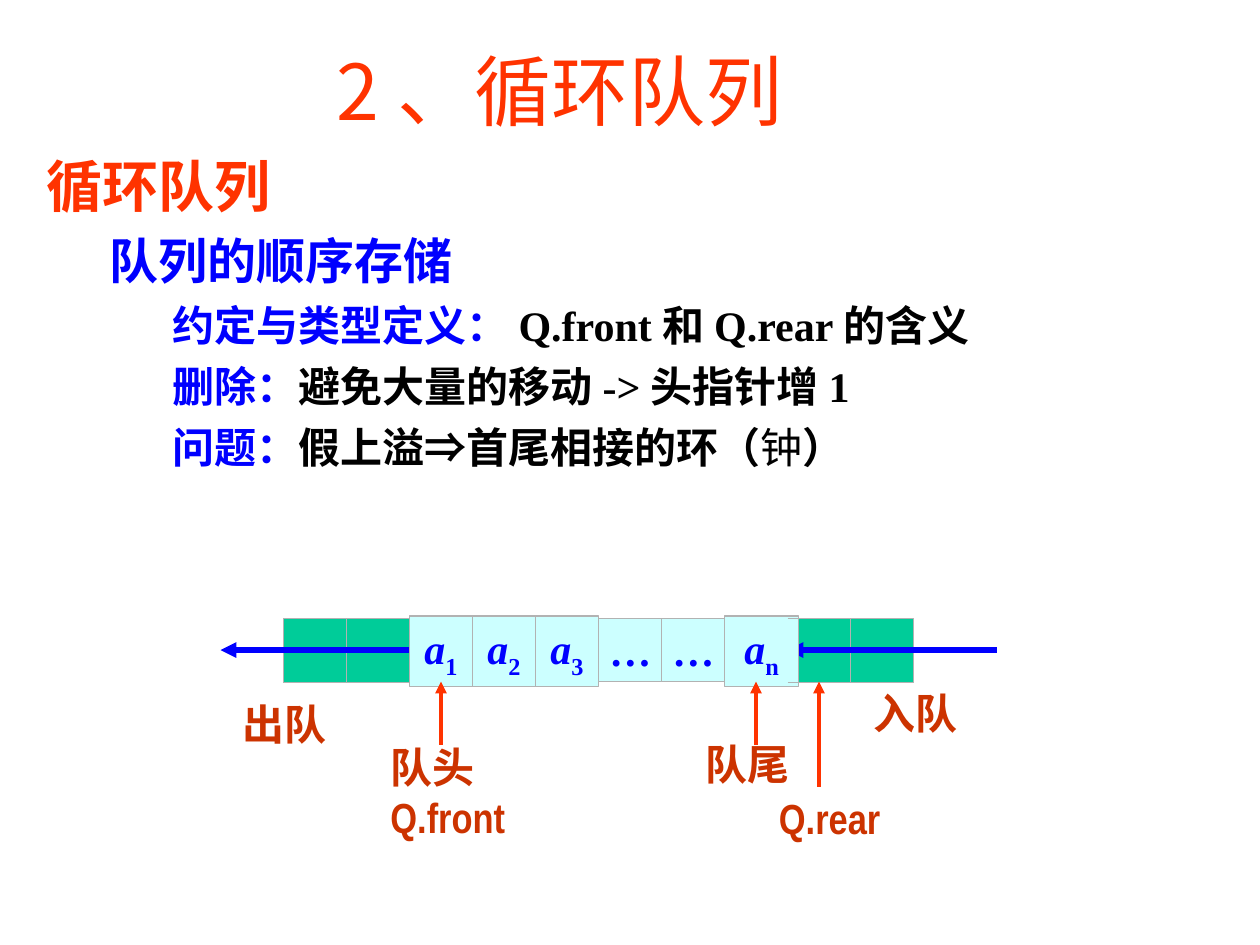
from dataclasses import dataclass

from pptx import Presentation
from pptx.dml.color import RGBColor
from pptx.enum.shapes import MSO_CONNECTOR, MSO_SHAPE
from pptx.enum.text import MSO_ANCHOR, MSO_AUTO_SIZE, PP_ALIGN
from pptx.oxml.ns import qn
from pptx.util import Pt

STRAIGHT = MSO_CONNECTOR.STRAIGHT
RECTANGLE = MSO_SHAPE.RECTANGLE
MIDDLE, TOP = MSO_ANCHOR.MIDDLE, MSO_ANCHOR.TOP
CENTER, LEFT = PP_ALIGN.CENTER, PP_ALIGN.LEFT
GROW, FIXED = MSO_AUTO_SIZE.SHAPE_TO_FIT_TEXT, MSO_AUTO_SIZE.NONE

COLOURS = {
    "red": "FF3300", "blue": "0000FF", "black": "000000", "brown": "CC3300",
    "free": "00CC99", "used": "CCFFFF", "border": "B2B2B2",
}
SERIF, NARROW, SANS = "Times New Roman", "Arial Narrow", "Noto Sans CJK JP"
CELL = 36
QUEUE_LEFT, QUEUE_TOP, QUEUE_BOTTOM = 162, 353.5, 390
AXIS = 371.5


@dataclass(frozen=True)
class Span:
    text: str
    size: float
    colour: str
    font: str = SERIF
    bold: bool = True
    italic: bool = False
    baseline: int = 0


@dataclass(frozen=True)
class Line:
    spans: tuple
    level: int = 0
    margin: float = 0
    indent: float = 0
    space_before: float = 0
    align: int = LEFT


@dataclass(frozen=True)
class Box:
    left: float
    top: float
    width: float
    height: float
    lines: tuple = ()


@dataclass(frozen=True)
class Stroke:
    start: tuple
    end: tuple
    colour: str
    width: float
    arrow: str = ""


def rgb(name: str) -> RGBColor:
    return RGBColor.from_string(COLOURS[name])


def set_attributes(target, values: dict) -> None:
    for name, value in values.items():
        setattr(target, name, value)


def write_lines(frame, lines: tuple) -> None:
    for index, line in enumerate(lines):
        paragraph = frame.add_paragraph() if index else frame.paragraphs[0]
        set_attributes(paragraph, {
            "level": line.level, "alignment": line.align,
            "space_before": Pt(line.space_before if index else 0),
        })
        properties = paragraph._p.get_or_add_pPr()
        properties.set("marL", str(Pt(line.margin)))
        properties.set("indent", str(Pt(line.indent)))
        for span in line.spans:
            run = paragraph.add_run()
            run.text = span.text
            set_attributes(run.font, {
                "name": span.font, "size": Pt(span.size),
                "bold": span.bold, "italic": span.italic,
            })
            run.font.color.rgb = rgb(span.colour)
            character = run._r.get_or_add_rPr()
            if span.baseline:
                character.set("baseline", str(span.baseline * 1000))
            east_asian = character.makeelement(qn("a:ea"), {"typeface": SANS})
            character.append(east_asian)


def add_text(slide, box: Box, auto_size=GROW) -> None:
    shape = slide.shapes.add_textbox(*map(Pt, (box.left, box.top, box.width, box.height)))
    set_attributes(shape.text_frame, {
        "word_wrap": True, "auto_size": auto_size, "vertical_anchor": TOP,
    })
    write_lines(shape.text_frame, box.lines)


def add_cell(slide, box: Box, fill: str) -> None:
    shape = slide.shapes.add_shape(
        RECTANGLE, *map(Pt, (box.left, box.top, box.width, box.height)))
    shape.shadow.inherit = False
    shape.fill.solid()
    shape.fill.fore_color.rgb = rgb(fill)
    shape.line.color.rgb = rgb("border")
    shape.line.width = Pt(0.75)
    if box.lines:
        set_attributes(shape.text_frame, {
            "word_wrap": True, "auto_size": GROW, "vertical_anchor": MIDDLE,
        })
        write_lines(shape.text_frame, box.lines)


def add_stroke(slide, stroke: Stroke) -> None:
    """Draw a line; arrow is "head" for its start, "tail" for its end."""
    connector = slide.shapes.add_connector(
        STRAIGHT, *map(Pt, (*stroke.start, *stroke.end)))
    connector.line.color.rgb = rgb(stroke.colour)
    connector.line.width = Pt(stroke.width)
    if stroke.arrow:
        outline = connector.line._get_or_add_ln()
        outline.append(outline.makeelement(
            qn(f"a:{stroke.arrow}End"), {"type": "triangle"}))
    properties = connector._element.spPr
    properties.append(properties.makeelement(qn("a:effectLst"), {}))


def add_free_cells(slide, columns: tuple) -> None:
    for column in columns:
        add_cell(slide, Box(QUEUE_LEFT + column * CELL, QUEUE_TOP, CELL, 36.7), "free")


def add_used_cells(slide) -> None:
    for column, (symbol, subscript) in enumerate(
            (("a", "1"), ("a", "2"), ("a", "3"), ("…", ""), ("…", ""), ("a", "n")), 2):
        spans = [Span(symbol, 24, "blue", italic=True)]
        if subscript:
            spans.append(Span(subscript, 24, "blue", baseline=-25))
        top, height = (352, 40.3) if subscript else (QUEUE_TOP, 36)
        width = 42.5 if subscript == "n" else CELL
        line = Line(tuple(spans), align=CENTER)
        add_cell(slide, Box(QUEUE_LEFT + column * CELL, top, width, height, (line,)), "used")


def label(*texts: str, font: str = NARROW) -> tuple:
    return tuple(Line((Span(text, 24, "brown", font),)) for text in texts)


def detail(heading: str, *spans: Span) -> Line:
    return Line((Span(heading, 24, "blue"), *spans), 2, 90, -18, 6)


BODY = Box(19.5, 82.8, 680.4, 215.3, (
    Line((Span("循环队列", 32, "red"),), 0, 27, -27),
    Line((Span("队列的顺序存储", 28, "blue"),), 1, 58.5, -22.5, 7),
    detail("约定与类型定义：", Span("Q.front和Q.rear的含义", 24, "black")),
    detail("删除：", Span("避免大量的移动->头指针增1", 24, "black")),
    detail("问题：", Span("假上溢⇒首尾相接的环（", 24, "black"),
           Span("钟", 24, "black", bold=False), Span("）", 24, "black")),
))

LABELS = (
    Box(216, 420, 90, 64.8, label("队头", "Q.front")),
    Box(492, 389.5, 70, 36, label("入队", font=SERIF)),
    Box(131.5, 395.5, 70, 36, label("出队", font=SERIF)),
    Box(438, 449.5, 84, 36, label("Q.rear")),
    Box(396, 418.5, 70, 36, label("队尾")),
    Box(185, 21.6, 290, 60.5,
        (Line((Span("2、循环队列", 44, "red", SANS, bold=False),)),)),
)


def main() -> None:
    presentation = Presentation()
    set_attributes(presentation, {"slide_width": Pt(720), "slide_height": Pt(540)})
    slide = presentation.slides.add_slide(presentation.slide_layouts[6])

    add_free_cells(slide, (9, 8))
    add_text(slide, BODY, FIXED)
    add_stroke(slide, Stroke((450, AXIS), (569.5, AXIS), "blue", 3, "head"))
    add_used_cells(slide)
    for y in (QUEUE_TOP, QUEUE_BOTTOM):
        add_stroke(slide, Stroke((450, y), (492, y), "border", 0.75))
    add_free_cells(slide, (1, 0))
    add_stroke(slide, Stroke((126, AXIS), (233.5, AXIS), "blue", 3, "head"))
    for x, start in ((252, 425.5), (432, 425.5), (468, 449.5)):
        add_stroke(slide, Stroke((x, start), (x, 389.5), "red", 2.25, "tail"))
    for box in LABELS:
        add_text(slide, box)

    presentation.save("out.pptx")


if __name__ == "__main__":
    main()
